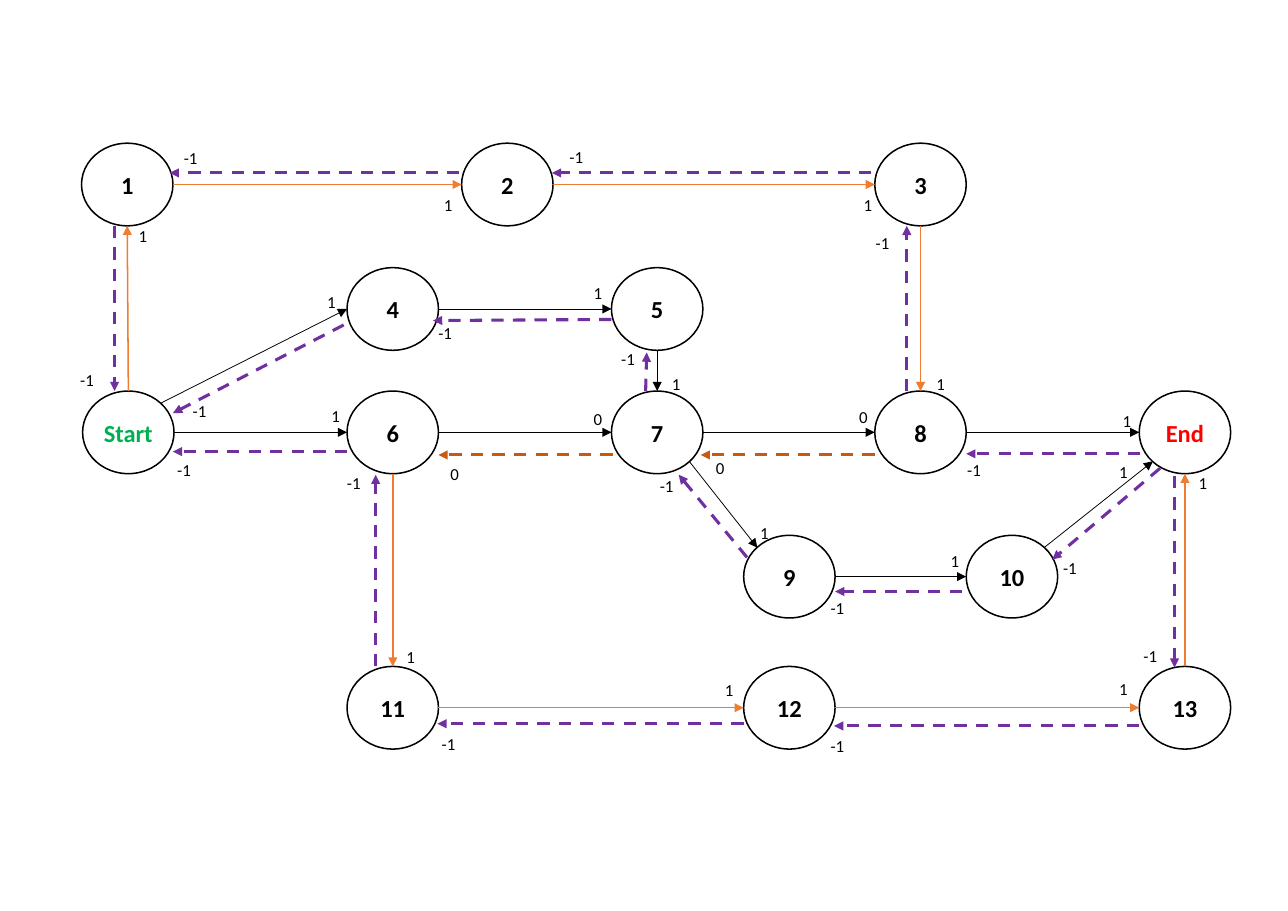
from typing import NamedTuple

import pptx
import pptx.dml.color
import pptx.enum.dml
import pptx.enum.shapes
import pptx.enum.text
import pptx.oxml.ns
import pptx.shapes.connector
import pptx.slide
import pptx.util
from lxml import etree

Inches = pptx.util.Inches
Pt = pptx.util.Pt
RGBColor = pptx.dml.color.RGBColor

BLACK = RGBColor(0x00, 0x00, 0x00)
GREEN = RGBColor(0x00, 0xB0, 0x50)
RED = RGBColor(0xFF, 0x00, 0x00)
ORANGE = RGBColor(0xED, 0x7D, 0x31)
RUST = RGBColor(0xC5, 0x5A, 0x11)
PURPLE = RGBColor(0x70, 0x30, 0xA0)

FONT = "Calibri"
NODE_WIDTH, NODE_HEIGHT = 0.83, 0.75
WEIGHT_WIDTH, WEIGHT_HEIGHT = 0.38, 0.29
FORWARD_WIDTHS = {BLACK: 0.5, ORANGE: 1}

# Points on a node's rim, as fractions of its width and height
RIM = {
    "top": (0.5, 0), "bottom": (0.5, 1), "left": (0, 0.5), "right": (1, 0.5),
    "top left": (0.15, 0.15), "top right": (0.85, 0.15),
    "bottom left": (0.15, 0.85), "bottom right": (0.85, 0.85),
}

Point = tuple[float, float]


class Node(NamedTuple):
    left: float
    top: float
    color: RGBColor = BLACK


class ForwardEdge(NamedTuple):
    source: str
    exit: str
    target: str
    entry: str
    color: RGBColor
    weight: str
    weight_at: Point


class ReturnEdge(NamedTuple):
    start: Point
    end: Point
    weight: str
    weight_at: Point
    color: RGBColor = PURPLE


NODES = {
    "1": Node(0.74, 1.3),
    "2": Node(4.19, 1.3),
    "3": Node(7.94, 1.3),
    "4": Node(3.15, 2.43),
    "5": Node(5.55, 2.43),
    "Start": Node(0.75, 3.55, GREEN),
    "6": Node(3.15, 3.55),
    "7": Node(5.55, 3.55),
    "8": Node(7.94, 3.55),
    "End": Node(10.34, 3.55, RED),
    "9": Node(6.75, 4.86),
    "10": Node(8.77, 4.86),
    "11": Node(3.15, 6.05),
    "12": Node(6.75, 6.05),
    "13": Node(10.34, 6.05),
}

FORWARD_EDGES = [
    ForwardEdge("Start", "top", "1", "bottom", ORANGE, "1", (1.16, 2)),
    ForwardEdge("1", "right", "2", "left", ORANGE, "1", (3.93, 1.72)),
    ForwardEdge("2", "right", "3", "left", ORANGE, "1", (7.74, 1.72)),
    ForwardEdge("3", "bottom", "8", "top", ORANGE, "1", (8.4, 3.34)),
    ForwardEdge("Start", "top right", "4", "left", BLACK, "1", (2.87, 2.6)),
    ForwardEdge("4", "right", "5", "left", BLACK, "1", (5.29, 2.52)),
    ForwardEdge("5", "bottom", "7", "top", BLACK, "1", (6, 3.34)),
    ForwardEdge("Start", "right", "6", "left", BLACK, "1", (2.91, 3.63)),
    ForwardEdge("6", "right", "7", "left", BLACK, "0", (5.29, 3.66)),
    ForwardEdge("7", "right", "8", "left", BLACK, "0", (7.7, 3.64)),
    ForwardEdge("8", "right", "End", "left", BLACK, "1", (10.09, 3.68)),
    ForwardEdge("7", "bottom right", "9", "top left", BLACK, "1", (6.8, 4.7)),
    ForwardEdge("9", "right", "10", "left", BLACK, "1", (8.53, 4.95)),
    ForwardEdge("10", "top right", "End", "bottom left", BLACK, "1", (10.06, 4.14)),
    ForwardEdge("6", "bottom", "11", "top", ORANGE, "1", (3.59, 5.82)),
    ForwardEdge("11", "right", "12", "left", ORANGE, "1", (6.48, 6.12)),
    ForwardEdge("12", "right", "13", "left", ORANGE, "1", (10.06, 6.11)),
    ForwardEdge("13", "top", "End", "bottom", ORANGE, "1", (10.78, 4.24)),
]

RETURN_EDGES = [
    ReturnEdge((1.04, 2.05), (1.04, 3.55), "-1", (0.63, 3.31)),
    ReturnEdge((4.17, 1.57), (1.54, 1.57), "-1", (1.57, 1.29)),
    ReturnEdge((7.91, 1.57), (5.01, 1.57), "-1", (5.07, 1.28)),
    ReturnEdge((8.23, 3.55), (8.23, 2.05), "-1", (7.85, 2.06)),
    ReturnEdge((3.12, 2.95), (1.57, 3.75), "-1", (1.65, 3.59)),
    ReturnEdge((5.55, 2.9), (3.93, 2.91), "-1", (3.88, 2.88)),
    ReturnEdge((5.86, 3.55), (5.87, 3.2), "-1", (5.54, 3.12)),
    ReturnEdge((3.15, 4.1), (1.57, 4.1), "-1", (1.51, 4.12)),
    ReturnEdge((5.56, 4.13), (3.98, 4.13), "0", (3.99, 4.16), RUST),
    ReturnEdge((7.94, 4.13), (6.36, 4.13), "0", (6.4, 4.11), RUST),
    ReturnEdge((10.35, 4.12), (8.77, 4.12), "-1", (8.68, 4.12)),
    ReturnEdge((6.78, 5.06), (6.16, 4.31), "-1", (5.89, 4.27)),
    ReturnEdge((8.73, 5.37), (7.58, 5.37), "-1", (7.44, 5.38)),
    ReturnEdge((10.53, 4.25), (9.55, 5.08), "-1", (9.55, 5.01)),
    ReturnEdge((3.41, 6.05), (3.41, 4.31), "-1", (3.05, 4.24)),
    ReturnEdge((6.75, 6.57), (3.97, 6.57), "-1", (3.91, 6.61)),
    ReturnEdge((10.34, 6.59), (7.57, 6.59), "-1", (7.44, 6.63)),
    ReturnEdge((10.66, 4.32), (10.66, 6.06), "-1", (10.28, 5.81)),
]


def rim_point(name: str, side: str) -> Point:
    node = NODES[name]
    across, down = RIM[side]
    return node.left + across * NODE_WIDTH, node.top + down * NODE_HEIGHT


def draw_node(slide: pptx.slide.Slide, name: str, node: Node) -> None:
    circle = slide.shapes.add_shape(
        pptx.enum.shapes.MSO_SHAPE.OVAL,
        Inches(node.left), Inches(node.top), Inches(NODE_WIDTH), Inches(NODE_HEIGHT),
    )
    circle.shadow.inherit = False
    circle.fill.background()
    circle.line.color.rgb = BLACK
    circle.line.width = Pt(1)
    frame = circle.text_frame
    frame.word_wrap = False
    frame.margin_left = frame.margin_right = frame.margin_top = frame.margin_bottom = 0
    frame.vertical_anchor = pptx.enum.text.MSO_ANCHOR.MIDDLE
    caption = frame.paragraphs[0]
    caption.text = name
    caption.alignment = pptx.enum.text.PP_ALIGN.CENTER
    caption.font.name = FONT
    caption.font.size = Pt(16)
    caption.font.bold = True
    caption.font.color.rgb = node.color


def draw_arrow(
    slide: pptx.slide.Slide, start: Point, end: Point, color: RGBColor, width: float
) -> pptx.shapes.connector.Connector:
    arrow = slide.shapes.add_connector(
        pptx.enum.shapes.MSO_CONNECTOR.STRAIGHT, *(Inches(value) for value in start + end)
    )
    arrow.line.color.rgb = color
    arrow.line.width = Pt(width)
    qn = pptx.oxml.ns.qn
    properties = arrow.line._get_or_add_ln().getparent()
    etree.SubElement(properties.find(qn("a:ln")), qn("a:tailEnd"), type="triangle")
    etree.SubElement(properties, qn("a:effectLst"))
    return arrow


def draw_weight(slide: pptx.slide.Slide, weight: str, at: Point) -> None:
    box = slide.shapes.add_textbox(
        Inches(at[0]), Inches(at[1]), Inches(WEIGHT_WIDTH), Inches(WEIGHT_HEIGHT)
    )
    box.text_frame.word_wrap = True
    paragraph = box.text_frame.paragraphs[0]
    paragraph.text = weight
    paragraph.font.name = FONT
    paragraph.font.size = Pt(11)
    paragraph.font.color.rgb = BLACK


def main() -> None:
    deck = pptx.Presentation()
    deck.slide_width, deck.slide_height = Inches(11.69), Inches(8.27)
    slide = deck.slides.add_slide(deck.slide_layouts[6])
    for name, node in NODES.items():
        draw_node(slide, name, node)
    for edge in FORWARD_EDGES:
        start = rim_point(edge.source, edge.exit)
        end = rim_point(edge.target, edge.entry)
        draw_arrow(slide, start, end, edge.color, FORWARD_WIDTHS[edge.color])
    for edge in RETURN_EDGES:
        arrow = draw_arrow(slide, edge.start, edge.end, edge.color, 2)
        arrow.line.dash_style = pptx.enum.dml.MSO_LINE.DASH
    for edge in FORWARD_EDGES + RETURN_EDGES:
        draw_weight(slide, edge.weight, edge.weight_at)
    deck.save("out.pptx")


if __name__ == "__main__":
    main()
